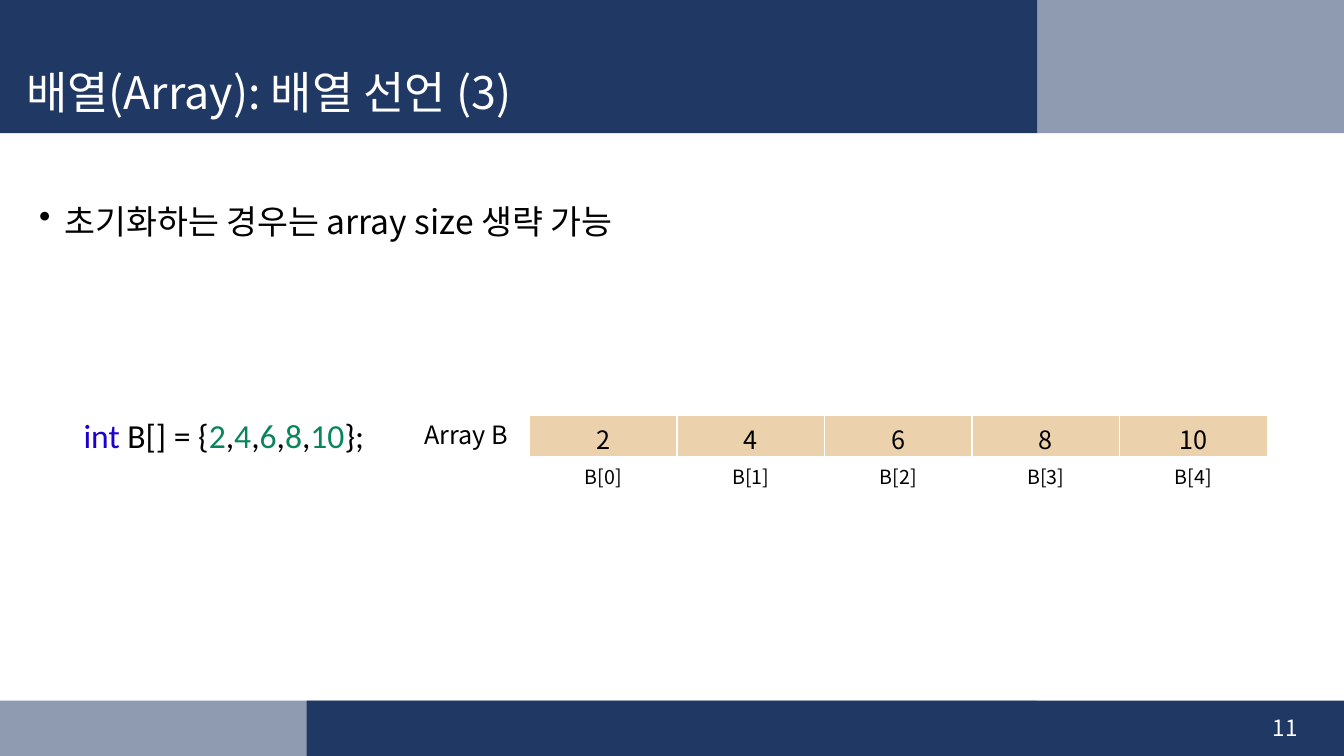
from lxml.etree import SubElement
from pptx import Presentation
from pptx.dml.color import RGBColor
from pptx.enum.shapes import MSO_SHAPE
from pptx.enum.text import MSO_ANCHOR, PP_ALIGN
from pptx.oxml.ns import qn
from pptx.util import Inches, Pt

NAVY, WHITE, BLACK, SAND = "203864", "FFFFFF", "000000", "EBD2AD"
KEYWORD, NUMBER = "1C01CE", "098658"
KOREAN = "Noto Sans CJK KR"


def rgb(value):
    return RGBColor.from_string(value)


def write(tf, runs, size, font=KOREAN, align=PP_ALIGN.LEFT, spacing=1.0):
    """Fill the first paragraph with (text, colour) runs."""
    tf.word_wrap = True
    p = tf.paragraphs[0]
    p.alignment, p.line_spacing = align, spacing
    p.font.size, p.font.name = Pt(size), font
    for text, color in runs:
        r = p.add_run()
        r.text = text
        r.font.size, r.font.name = Pt(size), font
        r.font.color.rgb = rgb(color)
        SubElement(r.font._element, qn("a:ea"), typeface=font)
    return p


prs = Presentation()
prs.slide_width, prs.slide_height = Inches(13.33), Inches(7.5)
s = prs.slides.add_slide(prs.slide_layouts[6])

# Header and footer bands: left, top, width, height, opacity in percent
bands = [
    (3.04, 6.95, 10.29, 0.55, 100),
    (0, 6.95, 10.29, 0.55, 50),
    (0, 0, 10.29, 1.32, 100),
    (10.29, 0, 3.04, 1.32, 50),
]
for *box, opacity in bands:
    sp = s.shapes.add_shape(MSO_SHAPE.RECTANGLE, *map(Inches, box))
    sp.shadow.inherit = False
    sp.fill.solid()
    sp.fill.fore_color.rgb = rgb(NAVY)
    sp.line.fill.background()
    if opacity < 100:
        color = sp._element.spPr.find(qn("a:solidFill"))[0]
        SubElement(color, qn("a:alpha"), val=str(opacity * 1000))

# Text boxes: box, anchor, runs, text format
code = [("int ", KEYWORD), ("B[] = {", BLACK)]
values = ["2", "4", "6", "8", "10"]
for i, value in enumerate(values):
    code += [(value, NUMBER), ("," if i < len(values) - 1 else "};", BLACK)]

texts = [
    ((9.97, 7.02, 3, 0.4), MSO_ANCHOR.MIDDLE, [("11", WHITE)],
     dict(size=16, align=PP_ALIGN.RIGHT)),
    ((0.16, 0.57, 10.13, 0.74), MSO_ANCHOR.MIDDLE,
     [("배열(Array): 배열 선언 (3)", WHITE)], dict(size=32, spacing=0.9)),
    ((0.73, 3.99, 4.99, 0.58), MSO_ANCHOR.TOP, code,
     dict(size=24, font="Calibri", spacing=1.2)),
    ((4.07, 4.11, 1.16, 0.4), MSO_ANCHOR.MIDDLE, [("Array B ", BLACK)],
     dict(size=18, align=PP_ALIGN.CENTER)),
    ((0.29, 1.9, 12.6, 4.61), MSO_ANCHOR.TOP,
     [("초기화하는 경우는 array size 생략 가능", BLACK)],
     dict(size=24, spacing=1.1)),
]
for box, anchor, runs, style in texts:
    tf = s.shapes.add_textbox(*map(Inches, box)).text_frame
    tf.vertical_anchor = anchor
    p = write(tf, runs, **style)

# Bullet on the body text, the last box
p.space_before = Pt(10)
pPr = p._p.get_or_add_pPr()
pPr.set("marL", str(Inches(0.25)))
pPr.set("indent", str(-Inches(0.25)))
bullet = pPr.makeelement(qn("a:buChar"), {"char": "•"})
pPr.find(qn("a:defRPr")).addprevious(bullet)

# Array values, with their indices below
indices = [f"B[{i}]" for i in range(len(values))]
rows = [(4.12, 0.41, values, 18, SAND), (4.53, 0.35, indices, 14, WHITE)]
for top, height, labels, size, fill in rows:
    table = s.shapes.add_table(1, len(labels), Inches(5.25), Inches(top),
                               Inches(7.32), Inches(height)).table
    table.first_row = table.horz_banding = False
    for cell, label in zip(table.iter_cells(), labels):
        cell.vertical_anchor = MSO_ANCHOR.MIDDLE
        write(cell.text_frame, [(label, BLACK)], size, align=PP_ALIGN.CENTER)
        tcPr = cell._tc.get_or_add_tcPr()
        for side in ("lnL", "lnR", "lnT", "lnB"):
            ln = SubElement(tcPr, qn(f"a:{side}"), w=str(Pt(1)))
            SubElement(SubElement(ln, qn("a:solidFill")), qn("a:srgbClr"), val=WHITE)
        cell.fill.solid()
        cell.fill.fore_color.rgb = rgb(fill)

prs.save("out.pptx")
